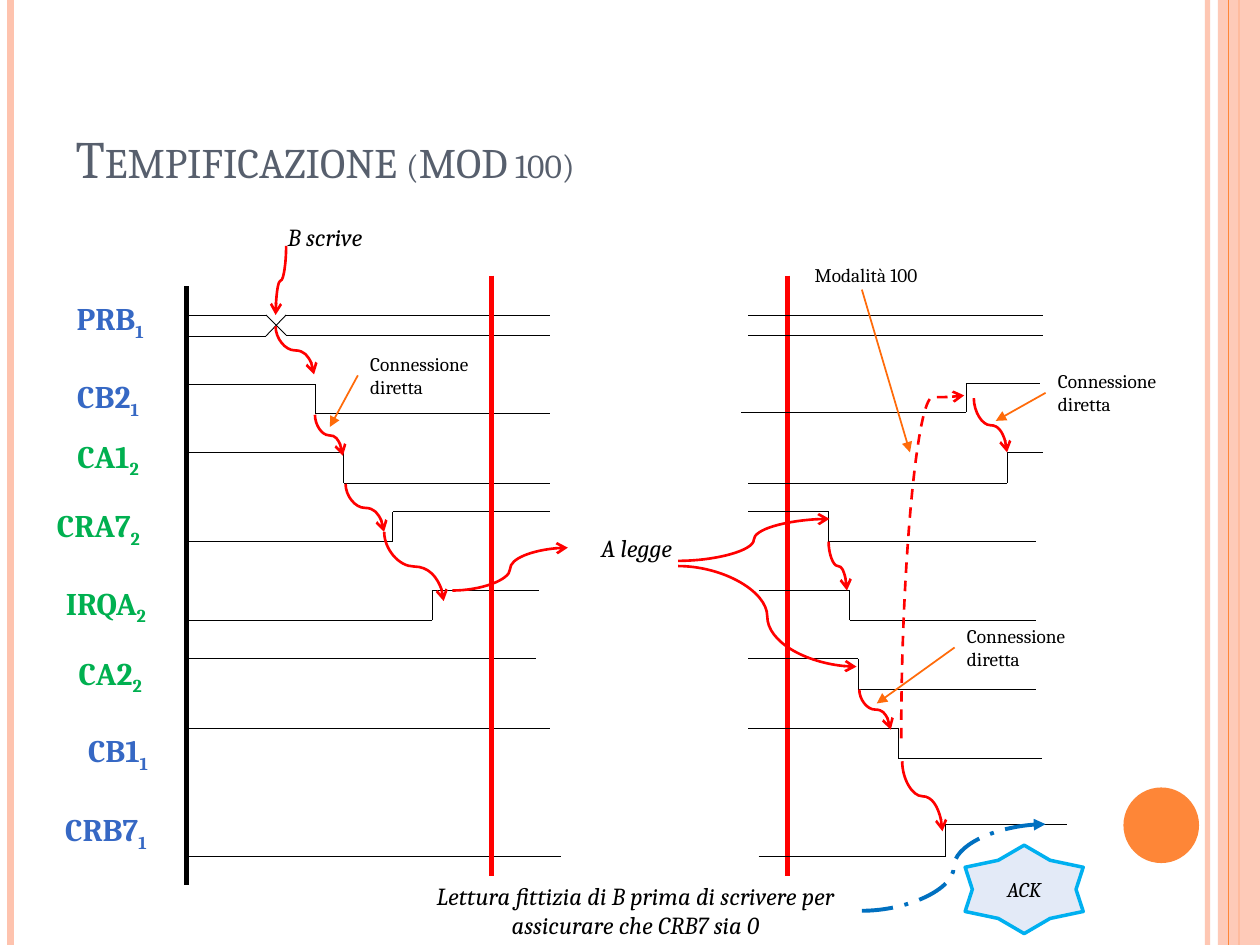
from itertools import pairwise

from lxml import etree
from pptx import Presentation
from pptx.dml.color import RGBColor
from pptx.enum.dml import MSO_LINE
from pptx.enum.shapes import MSO_CONNECTOR, MSO_SHAPE
from pptx.enum.text import MSO_ANCHOR, MSO_AUTO_SIZE, PP_ALIGN
from pptx.oxml.ns import qn
from pptx.util import Pt

STRAIGHT, CURVE = MSO_CONNECTOR.STRAIGHT, MSO_CONNECTOR.CURVE
RECT, ROUND = MSO_SHAPE.RECTANGLE, MSO_SHAPE.ROUNDED_RECTANGLE
OVAL, STAR = MSO_SHAPE.OVAL, MSO_SHAPE.STAR_6_POINT
DASH, DASH_DOT = MSO_LINE.DASH, MSO_LINE.LONG_DASH_DOT
LEFT, CENTER = PP_ALIGN.LEFT, PP_ALIGN.CENTER
MIDDLE, BOTTOM = MSO_ANCHOR.MIDDLE, MSO_ANCHOR.BOTTOM
NO_FIT, GROW = MSO_AUTO_SIZE.NONE, MSO_AUTO_SIZE.SHAPE_TO_FIT_TEXT

FONT = "Cambria"
WIDE, HIGH = 720, 540
INK = {
    "black": "000000", "white": "FFFFFF", "red": "FF0000", "title": "575F6D",
    "pink": "FEC3AE", "orange": "FE8637", "arrow": "FF6B0A", "blue": "3668C4",
    "green": "00B050", "sky": "00B0F0", "pale": "E3EAF7", "deep": "0070C0",
}


def tint(form, ink, alpha=None):
    """Colour a solid fill, with alpha as percent opacity."""
    form.solid()
    form.fore_color.rgb = RGBColor.from_string(INK[ink])
    if alpha:
        node = form._xPr.find(".//" + qn("a:srgbClr"))
        etree.SubElement(node, qn("a:alpha"), val=str(alpha * 1000))


def write(par, text, size, ink="black", bold=False, italic=False, base=None, caps=False):
    run = par.add_run()
    run.text = text
    font = run.font
    font.name, font.size, font.bold, font.italic = FONT, Pt(size), bold, italic
    font.color.rgb = RGBColor.from_string(INK[ink])
    props = run._r.get_or_add_rPr()
    if base:
        props.set("baseline", str(base * 1000))
    if caps:
        props.set("cap", "small")


class Board:
    def __init__(self, slide):
        self.slide = slide
        self.shapes = slide.shapes

    def title(self, *parts):
        """Fill the title from (text, size) parts."""
        head = self.shapes.title
        head.left, head.top, head.width, head.height = map(Pt, (36, 21.5, 588, 90))
        frame = head.text_frame
        frame.auto_size, frame.vertical_anchor = NO_FIT, BOTTOM
        par = frame.paragraphs[0]
        par.alignment = LEFT
        for text, size in parts:
            write(par, text, size, ink="title", caps=True)

    def shape(self, kind, place, ink="white", alpha=None, edge=None):
        item = self.shapes.add_shape(kind, *map(Pt, place))
        item.shadow.inherit = False
        tint(item.fill, ink, alpha)
        if edge:
            tint(item.line.fill, edge)
            item.line.width = Pt(2)
        else:
            item.line.fill.background()
        frame = item.text_frame
        frame.word_wrap, frame.vertical_anchor = True, MIDDLE
        frame.paragraphs[0].alignment = CENTER
        return item

    def label(self, name, sub, top, width, ink):
        """Signal name with its subscript, flush with the right edge of the column."""
        item = self.shape(RECT, (95.5 - width, top, width, 39.5))
        par = item.text_frame.paragraphs[0]
        write(par, name, 18, ink=ink, bold=True)
        write(par, sub, 18, ink=ink, bold=True, base=-25)

    def event(self, text, kind, place, size=14, **look):
        item = self.shape(kind, place, **look)
        write(item.text_frame.paragraphs[0], text, size, italic=True)
        return item

    def note(self, text, left, top, height=34):
        item = self.shapes.add_textbox(Pt(left), Pt(top), Pt(85.5), Pt(height))
        item.text_frame.word_wrap = True
        item.text_frame.auto_size = GROW
        write(item.text_frame.paragraphs[0], text, 11)
        return item

    def line(self, start, end, ink="black", width=0.5, kind=STRAIGHT,
             tip=None, dash=None, alpha=None):
        link = self.shapes.add_connector(kind, *map(Pt, (*start, *end)))
        tint(link.line.fill, ink, alpha)
        link.line.width = Pt(width)
        if dash:
            link.line.dash_style = dash
        if tip:
            etree.SubElement(link.line._ln, qn("a:tailEnd"), type=tip)
        etree.SubElement(link._element.spPr, qn("a:effectLst"))
        return link

    def wave(self, *points):
        for start, end in pairwise(points):
            self.line(start, end)

    def curve(self, start, end, ink="red", width=1.5, tip="arrow", **look):
        return self.line(start, end, ink, width, CURVE, tip, **look)

    def drop(self, start, end, bend=None, **look):
        """Curve that leaves and arrives vertically: a level one, turned."""
        (x1, y1), (x2, y2) = start, end
        midx, midy = (x1 + x2) / 2, (y1 + y2) / 2
        right, down = (x2 - x1) / 2, (y2 - y1) / 2
        turn = 270 if right * down > 0 else 90
        sign = 1 if turn == 90 else -1
        du, dv = sign * down, -sign * right
        link = self.curve((midx - du, midy - dv), (midx + du, midy + dv), **look)
        props = link._element.spPr
        props.find(qn("a:xfrm")).set("rot", str(turn * 60000))
        if bend:
            guides = props.find(".//" + qn("a:avLst"))
            etree.SubElement(guides, qn("a:gd"), name="adj1", fmla=f"val {bend}")


def frame(board):
    """Stripes and disc at the slide's edges."""
    def stripe(x, ink, width, alpha=None):
        board.line((x, 0), (x, HIGH), ink, width, alpha=alpha)

    stripe(690, "pink", 3, 93)
    stripe(6, "pink", 4.5)
    stripe(708, "orange", 1.5)
    board.shape(RECT, (696, 0, 24, HIGH), "pink", 87)
    stripe(702, "orange", 0.75)
    board.shape(OVAL, (642, 450, 43.2, 43.2), "orange")


def step(board, x1, y1, x, y2, x2):
    """Signal that changes level once, at x."""
    board.wave((x1, y1), (x, y1), (x, y2), (x2, y2))


def main():
    deck = Presentation()
    deck.slide_width, deck.slide_height = Pt(WIDE), Pt(HIGH)
    board = Board(deck.slides.add_slide(deck.slide_layouts[5]))
    frame(board)
    board.title(("Tempificazione ", 30), ("(MOD 100)", 24))

    axis = 106.5
    board.line((axis, 163.5), (axis, 506), width=3)
    for name, sub, top, width in (
        ("PRB", "1", 163.5, 65), ("CB2", "1", 208, 67.5), ("CA1", "2", 242, 67.5),
        ("CRA7", "2", 281.5, 78.5), ("IRQA", "2", 326, 70), ("CA2", "2", 366, 65),
        ("CB1", "1", 410.5, 56), ("CRB7", "1", 455.5, 70),
    ):
        board.label(name, sub, top, width, "blue" if sub == "1" else "green")

    board.wave((axis, 180), (152, 180), (163.5, 191.5), (314.5, 191.5))
    board.wave((axis, 192), (152, 192), (163.5, 180), (314.5, 180))
    for x, y1, y2, end in (
        (180, 219.5, 236, 314.5), (196.5, 258.5, 276, 314.5),
        (224.5, 309.5, 292.5, 314.5), (247, 354.5, 337.5, 308),
    ):
        step(board, axis, y1, x, y2, end)
    for y, end in ((376.5, 306.5), (416, 314.5), (489.5, 320.5)):
        board.wave((axis, y), (end, y))

    for x in (281, 450):
        board.line((x, 157.5), (x, 500.5), "red", 3)

    for y in (180, 191.5):
        board.wave((427.5, y), (596, y))
    for start, y1, x, y2, end in (
        (423.5, 235.5, 552, 219, 594.5), (427.5, 276, 575.5, 258.5, 596),
        (427.5, 292.5, 473.5, 309.5, 592), (433.5, 337.5, 485.5, 354.5, 592),
        (427.5, 376.5, 490.5, 394, 592), (427.5, 416, 513.5, 433.5, 595.5),
        (433.5, 489.5, 540.5, 471, 610),
    ):
        step(board, start, y1, x, y2, end)

    board.event("B scrive", ROUND, (152, 124, 67.5, 22.5))
    board.event("A legge", RECT, (324.5, 288, 78.5, 50.5))
    board.event("Lettura fittizia di B prima di scrivere per assicurare che CRB7 sia 0",
                ROUND, (234, 506, 258.5, 28))

    for start, end in (
        ((163.5, 140.5), (157.5, 180)), ((157.5, 186.5), (179.5, 214)),
        ((180, 237), (196, 260.5)), ((197.5, 276.5), (219.5, 304)),
        ((219.5, 304), (253.5, 343.5)), ((473.5, 309.5), (484, 337.5)),
        ((491, 394), (509, 417)), ((515.5, 435), (538.5, 475)),
        ((556.5, 227.5), (575.5, 258.5)),
    ):
        board.drop(start, end)
    board.drop((515, 422), (551, 226), bend=99500, dash=DASH)
    for start, end in (
        ((258.5, 337.5), (324.5, 313)), ((387.5, 320.5), (474, 296.5)),
        ((387.5, 323.5), (489.5, 381)),
    ):
        board.curve(start, end)

    for left, top, end in (
        (545.5, 353, (501, 402)), (204.5, 197.5, (188.5, 244)), (597.5, 207.5, (569, 240.5)),
    ):
        note = board.note("Connessione diretta", left, top)
        link = board.line((left, top + 17), end, "arrow", 1, tip="triangle")
        link.begin_connect(note, 1)
    board.note("Modalità 100", 458.5, 147, 21)
    board.line((492.5, 165.5), (520, 258.5), "arrow", 1, tip="triangle")

    star = board.event("ACK", STAR, (551.5, 483, 67.5, 50.5), 12, ink="pale", edge="sky")
    star.adjustments[0] = 0.38
    board.curve((492.5, 520.5), (597.5, 471), "deep", 2.25, "triangle", dash=DASH_DOT)
    deck.save("out.pptx")


if __name__ == "__main__":
    main()
